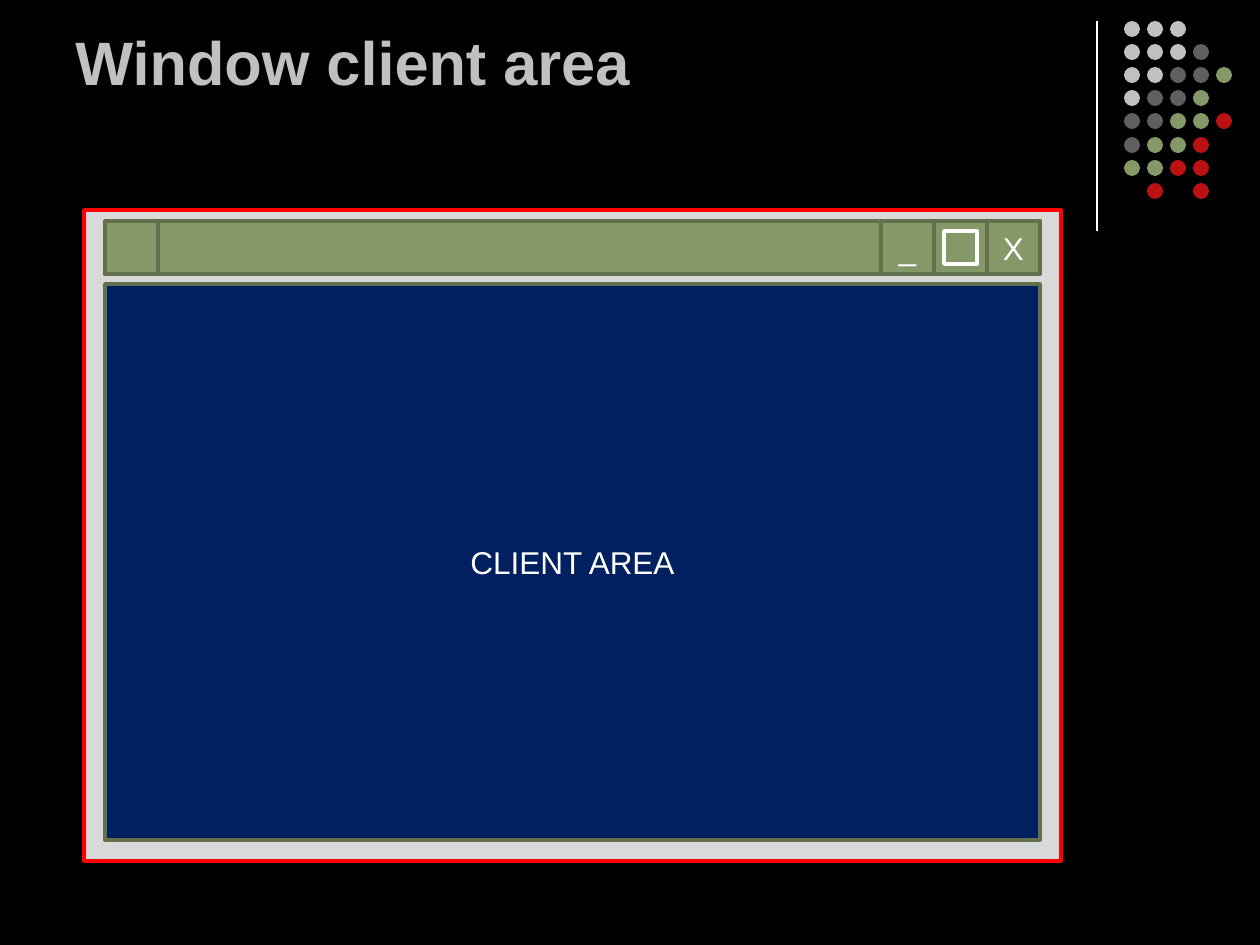
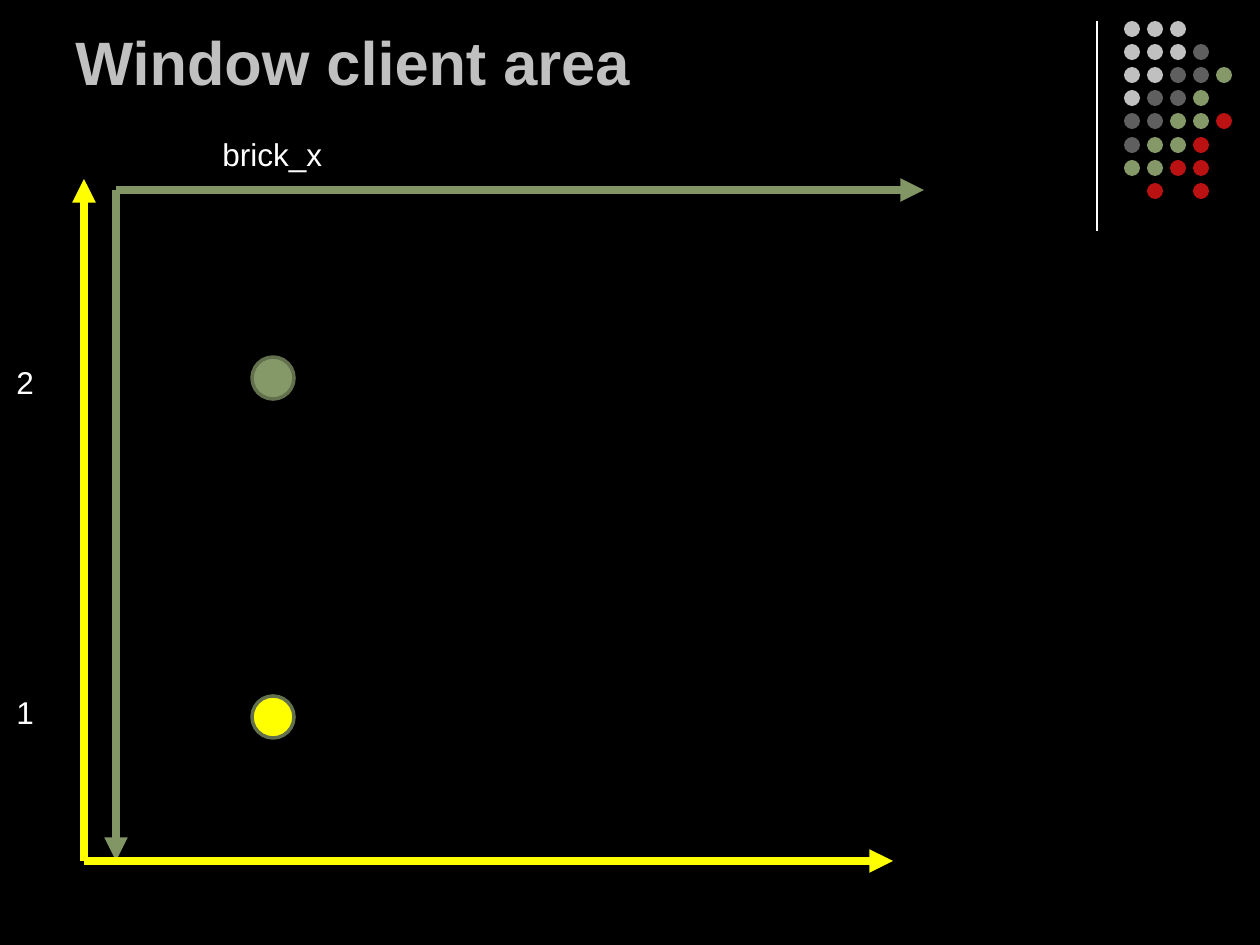
from lxml.etree import SubElement
from pptx import Presentation
from pptx.dml.color import RGBColor
from pptx.enum.shapes import MSO_CONNECTOR, MSO_SHAPE
from pptx.enum.text import MSO_ANCHOR, PP_ALIGN
from pptx.oxml.ns import qn
from pptx.util import Pt

EMU_PER_PX = 914400 / 126
FONT = "Arial"
BLACK, WHITE, SILVER, GREY = "000000", "FFFFFF", "C0C0C0", "5F5F5F"
OLIVE, OLIVE_EDGE, OLIVE_AXIS = "859868", "62704D", "829665"
CRIMSON, RED, YELLOW, NAVY, PALE = "BA1212", "FF0000", "FFFF00", "002060", "D9D9D9"
DOT_ROWS = ["LLL", "LLLD", "LLDDG", "LDDG", "DDGGR", "DGGR", "GGRR", " R R"]
DOT_COLOURS = {"L": SILVER, "D": GREY, "G": OLIVE, "R": CRIMSON}


def px(length):
    return round(length * EMU_PER_PX)


def colour(code):
    return RGBColor.from_string(code)


def write(frame, text, size=18, tint=WHITE, bold=False, align=PP_ALIGN.LEFT):
    paragraph = frame.paragraphs[0]
    paragraph.alignment = align
    run = paragraph.add_run()
    run.text = text
    run.font.name = FONT
    run.font.size = Pt(size)
    run.font.bold = bold
    run.font.color.rgb = colour(tint)


def add_figure(slide, preset, box, fill, edge=None, text=None):
    figure = slide.shapes.add_shape(preset, *map(px, box))
    figure.shadow.inherit = False
    figure.fill.solid()
    figure.fill.fore_color.rgb = colour(fill)
    if edge:
        figure.line.color.rgb = colour(edge)
        figure.line.width = Pt(2)
    else:
        figure.line.fill.background()
    if text:
        figure.text_frame.vertical_anchor = MSO_ANCHOR.MIDDLE
        write(figure.text_frame, text, align=PP_ALIGN.CENTER)


def add_rule(slide, start, end, tint, width, arrow=False):
    rule = slide.shapes.add_connector(
        MSO_CONNECTOR.STRAIGHT, *map(px, (*start, *end)))
    rule.line.color.rgb = colour(tint)
    rule.line.width = Pt(width)
    if arrow:
        SubElement(rule.line._get_or_add_ln(), qn("a:tailEnd"), type="triangle")
    SubElement(rule._element.spPr, qn("a:effectLst"))


def add_label(slide, box, text):
    label = slide.shapes.add_textbox(*map(px, box))
    label.text_frame.word_wrap = False
    write(label.text_frame, text)


def add_title(slide, box, text):
    title = slide.shapes.add_textbox(*map(px, box))
    title.text_frame.word_wrap = True
    title.text_frame.vertical_anchor = MSO_ANCHOR.BOTTOM
    write(title.text_frame, text, size=35, tint=SILVER, bold=True)


def add_dot_ornament(slide, left, top, pitch=23.1, dot=16):
    add_rule(slide, (left - 27, top), (left - 27, top + 210), WHITE, 0.75)
    for row, codes in enumerate(DOT_ROWS):
        for column, code in enumerate(codes):
            if code in DOT_COLOURS:
                place = (left + round(column * pitch), top + round(row * pitch))
                add_figure(slide, MSO_SHAPE.OVAL, (*place, dot, dot),
                           DOT_COLOURS[code])


def add_base(deck, title):
    slide = deck.slides.add_slide(deck.slide_layouts[6])
    slide.background.fill.solid()
    slide.background.fill.fore_color.rgb = colour(BLACK)
    add_dot_ornament(slide, 1124, 21)
    add_title(slide, (63, 16, 1040, 88), title)
    return slide


def draw_window(slide, left, top, width, height):
    border, button, inset = 21, 53, 10
    bar_top, client_top = top + 11, top + 74
    inner_left, inner_width = left + border, width - 2 * border
    inner_right = inner_left + inner_width

    def panel(box, fill=OLIVE, edge=OLIVE_EDGE, text=None):
        add_figure(slide, MSO_SHAPE.RECTANGLE, box, fill, edge, text)

    panel((left, top, width, height), PALE, RED)
    panel((inner_left, client_top, inner_width, top + height - border - client_top),
          NAVY, text="CLIENT AREA")
    panel((inner_left, bar_top, inner_width, button))
    panel((inner_left, bar_top, button, button))
    for place, symbol in enumerate(["X", None, "_"], start=1):
        panel((inner_right - place * button, bar_top, button, button), text=symbol)
    panel((inner_right - 2 * button + inset, bar_top + inset,
           button - 2 * inset, button - 2 * inset), edge=WHITE)


def draw_axes(slide, left, top, width, height):
    right, bottom = left + width, top + height
    screen_origin = (left + 32, top + 11)
    world_origin = (left, bottom)
    ball = 42
    for origin, ends, tint in [
        (screen_origin, [(left + 32, bottom), (right, top + 11)], OLIVE_AXIS),
        (world_origin, [(left, top), (right - 31, bottom)], YELLOW),
    ]:
        for end in ends:
            add_rule(slide, origin, end, tint, 4.5, arrow=True)
    for ball_top, fill in [(top + 178, OLIVE), (top + 517, YELLOW)]:
        add_figure(slide, MSO_SHAPE.OVAL, (left + 168, ball_top, ball, ball),
                   fill, OLIVE_EDGE)
    add_label(slide, (left + 126, top - 50, 126, 50), "brick_x")
    for label_top, number in [(top + 178, "2"), (top + 508, "1")]:
        add_label(slide, (left - 80, label_top, 43, 50), number)


def main():
    deck = Presentation()
    deck.slide_width, deck.slide_height = px(1260), px(945)
    draw_window(add_base(deck, "Window client area"), 84, 210, 977, 651)
    draw_axes(add_base(deck, "Window client area"), 84, 179, 840, 682)
    deck.save("out.pptx")


if __name__ == "__main__":
    main()
